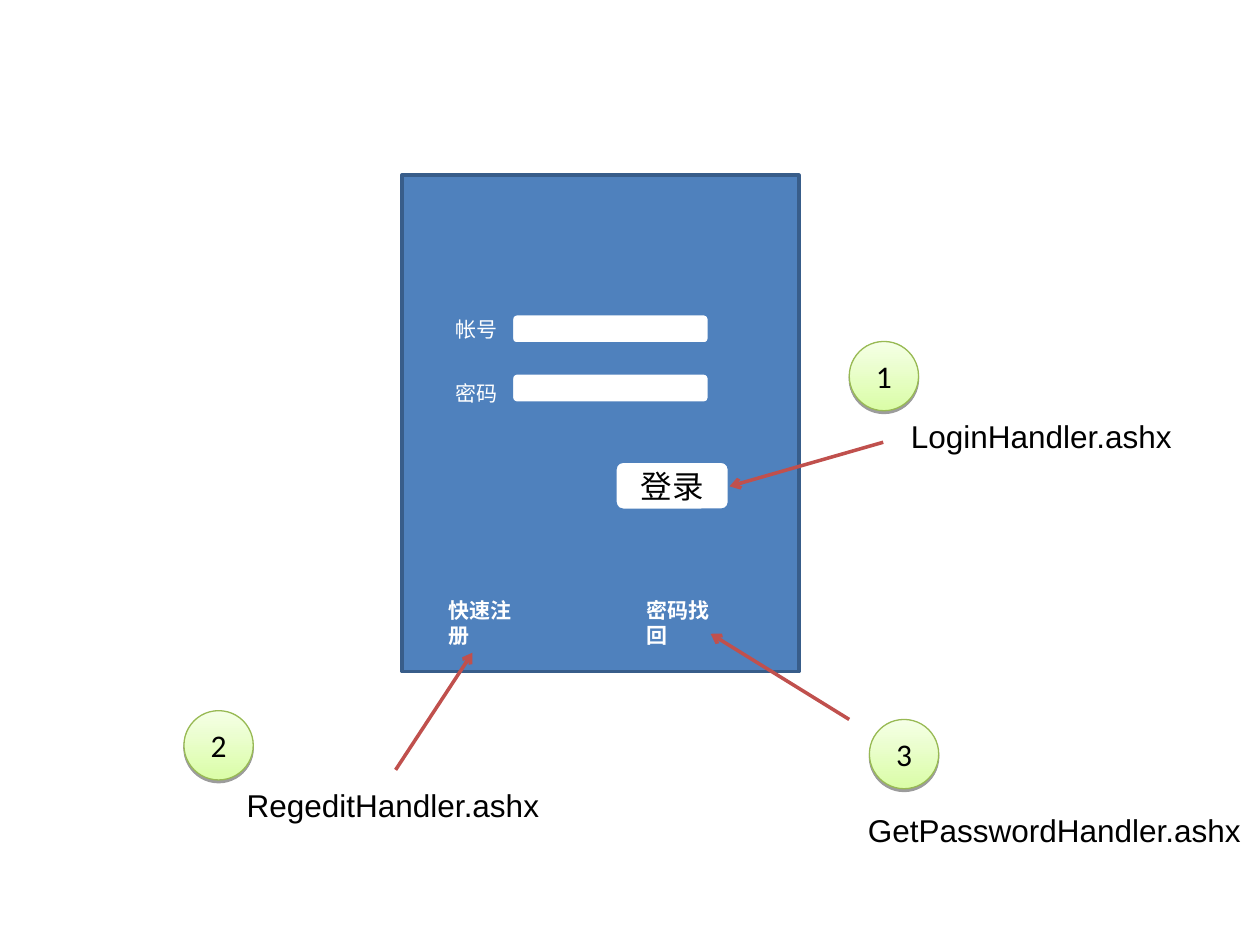
from lxml import etree
from pptx import Presentation
from pptx import util as u
from pptx.dml.color import RGBColor
from pptx.enum import shapes, text
from pptx.oxml import parse_xml
from pptx.oxml.ns import nsdecls, qn

SCALE = 9144
KIND = shapes.MSO_SHAPE
WHITE, BLACK = "FFFFFF", "000000"
BLUE, RED = "4F81BD", "C0504D"
SMALL = {"name": "Arial", "size": u.Pt(12), "bold": False}
LINK = {**SMALL, "bold": True}
LABEL = {**SMALL, "size": u.Pt(18)}
CAPTION = {**LABEL, "name": "Calibri"}


def px(*lengths):
    return [u.Emu(length * SCALE) for length in lengths]


def colour(value):
    return RGBColor.from_string(value)


def write(frame, words, style, ink):
    paragraph = frame.paragraphs[0]
    run = paragraph.add_run()
    run.text = words
    for key, value in style.items():
        setattr(run.font, key, value)
    run.font.color.rgb = colour(ink)
    return paragraph


def add_label(slide, box, words, style, ink):
    frame = slide.shapes.add_textbox(*px(*box)).text_frame
    frame.word_wrap = False
    frame.auto_size = text.MSO_AUTO_SIZE.SHAPE_TO_FIT_TEXT
    write(frame, words, style, ink)


def add_block(slide, kind, box, fill, edge, width=2, words=""):
    block = slide.shapes.add_shape(kind, *px(*box))
    block.shadow.inherit = False
    if fill:
        block.fill.solid()
        block.fill.fore_color.rgb = colour(fill)
    block.line.color.rgb = colour(edge)
    block.line.width = u.Pt(width)
    if words:
        block.text_frame.vertical_anchor = text.MSO_ANCHOR.MIDDLE
        caption = write(block.text_frame, words, CAPTION, BLACK)
        caption.alignment = text.PP_ALIGN.CENTER
    return block


def add_login_panel(slide, left, top, width, height):
    add_block(slide, KIND.RECTANGLE, (left, top, width, height), BLUE, "385D8A")
    for field_top, label_top, words in ((110, 107, "帐号"), (157, 158, "密码")):
        field = (left + 87, top + field_top, 157, 24)
        add_block(slide, KIND.ROUNDED_RECTANGLE, field, WHITE, BLUE)
        add_label(slide, (left + 33, top + label_top, 53, 30), words, SMALL, WHITE)
    button = (left + 169, top + 227, 91, 39)
    add_block(slide, KIND.ROUNDED_RECTANGLE, button, WHITE, BLUE, words="登录")
    for offset, words in ((27, "快速注册"), (184, "密码找回")):
        add_label(slide, (left + offset, top + 330, 86, 30), words, LINK, WHITE)


def add_badge(slide, left, top, number):
    badge = add_block(slide, KIND.OVAL, (left, top, 55, 55), None, "98B954", 0.75, number)
    badge.fill.gradient()
    badge.fill.gradient_angle = 90
    for stop, (position, tint) in zip(badge.fill.gradient_stops, ((0, "DAFDA7"), (1, "F5FFE6"))):
        stop.position = position
        stop.color.rgb = colour(tint)
    effects = badge._element.spPr.find(qn("a:effectLst"))
    effects.append(parse_xml(
        f'<a:outerShdw {nsdecls("a")} blurRad="0" dist="20000" dir="5400000" rotWithShape="0">'
        '<a:srgbClr val="000000"><a:alpha val="38000"/></a:srgbClr></a:outerShdw>'))


def add_arrow(slide, start, end):
    arrow = slide.shapes.add_connector(shapes.MSO_CONNECTOR.STRAIGHT, *px(*start, *end))
    arrow.line.color.rgb = colour(RED)
    arrow.line.width = u.Pt(2)
    etree.SubElement(arrow.line._get_or_add_ln(), qn("a:tailEnd"), type="arrow")
    etree.SubElement(arrow._element.spPr, qn("a:effectLst"))


def add_handler(slide, left, top, number, name, name_box, start, end):
    add_badge(slide, left, top, number)
    name_left, name_top, name_width = name_box
    add_label(slide, (left + name_left, top + name_top, name_width, 40), name, LABEL, BLACK)
    add_arrow(slide, start, end)


def main():
    deck = Presentation()
    deck.slide_width, deck.slide_height = px(1000, 750)
    slide = deck.slides.add_slide(deck.slide_layouts[6])
    add_login_panel(slide, 319, 139, 315, 394)
    handlers = (
        (674, 271, "1", "LoginHandler.ashx", (39, 55, 228), (701, 351), (579, 386)),
        (146, 564, "2", "RegeditHandler.ashx", (40, 55, 253), (314, 611), (375, 518)),
        (690, 571, "3", "GetPasswordHandler.ashx", (-11, 68, 317), (674, 571), (564, 503)),
    )
    for handler in handlers:
        add_handler(slide, *handler)
    deck.save("out.pptx")


if __name__ == "__main__":
    main()
